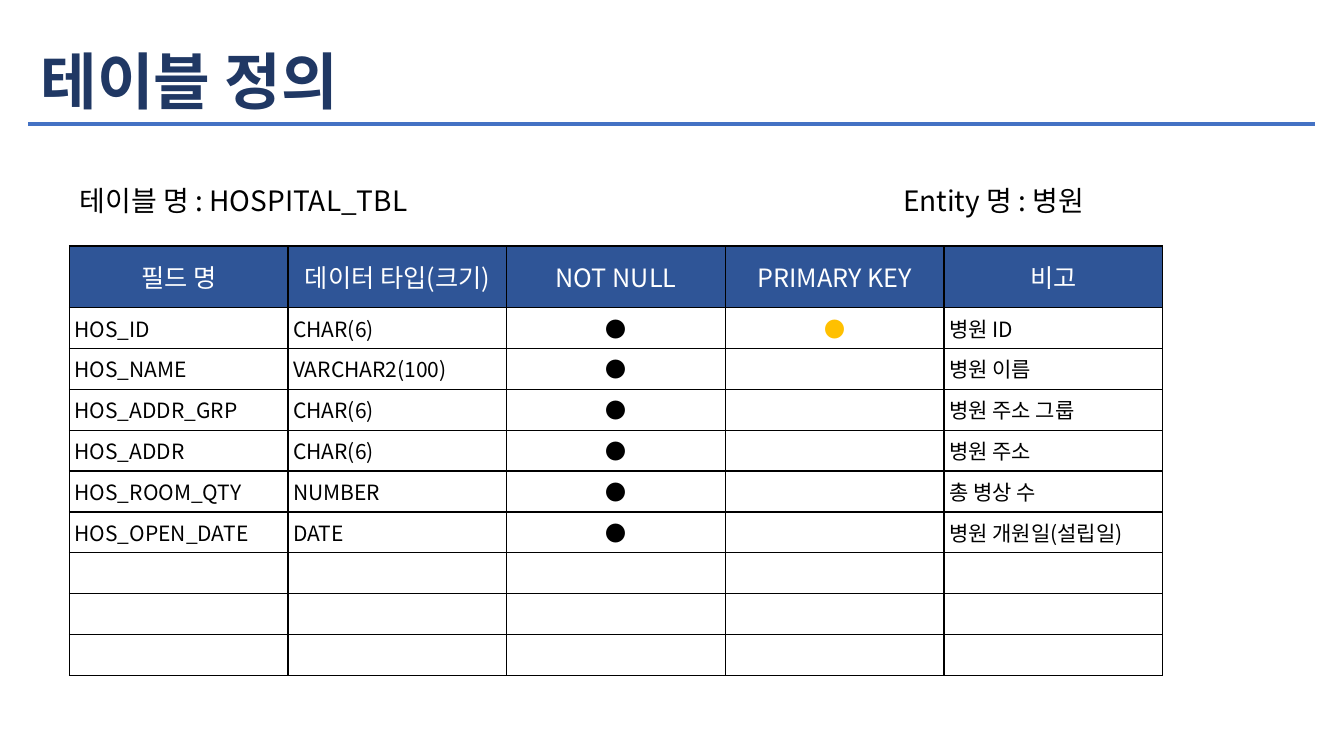
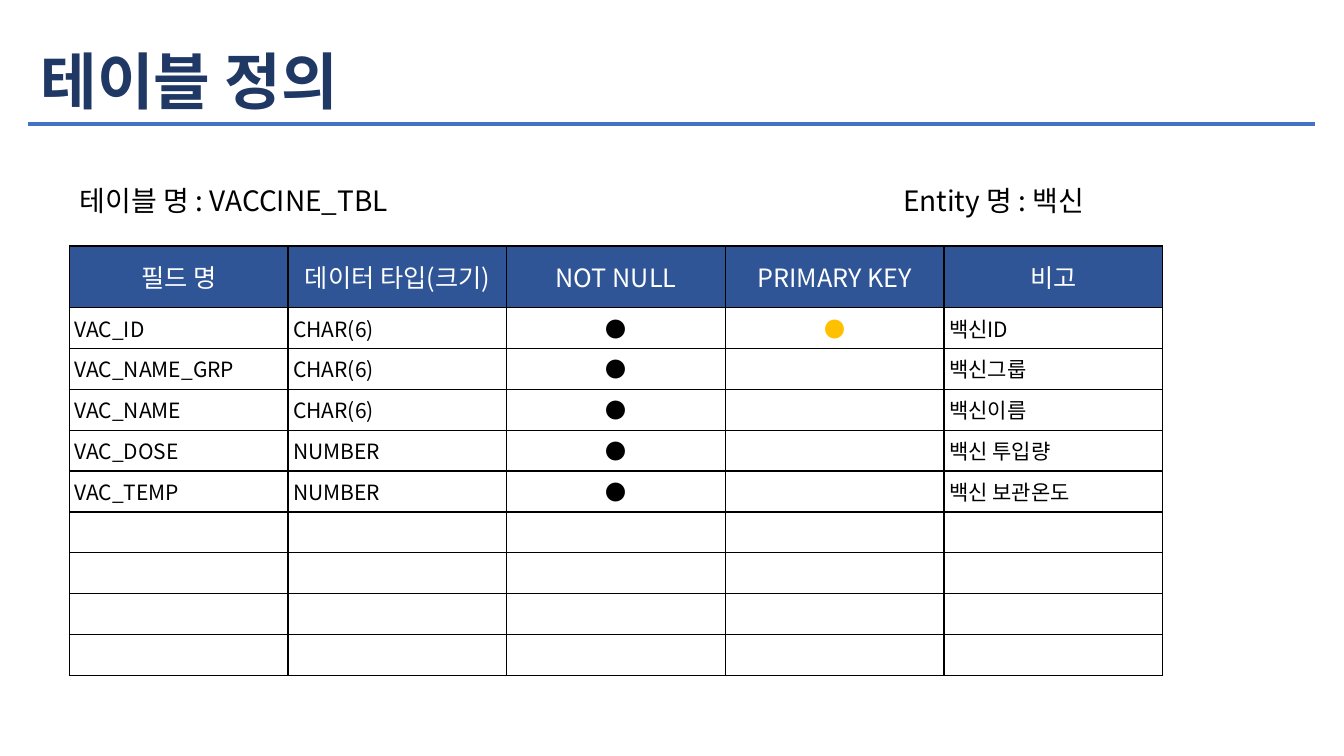
from lxml import etree
from pptx import Presentation
from pptx.dml.color import RGBColor
from pptx.enum.shapes import MSO_SHAPE
from pptx.enum.text import MSO_ANCHOR, PP_ALIGN
from pptx.oxml.ns import qn
from pptx.util import Cm, Pt

LEFT, CENTER = PP_ALIGN.LEFT, PP_ALIGN.CENTER
TOP, MIDDLE = MSO_ANCHOR.TOP, MSO_ANCHOR.MIDDLE
RECTANGLE = MSO_SHAPE.RECTANGLE

FONT = "Noto Sans CJK KR"
COLORS = {"title": "203864", "rule": "4472C4", "header": "2F5597",
          "text": "000000", "key": "FFC000", "white": "FFFFFF"}

TITLE = "테이블 정의"
HEADERS = ["필드 명", "데이터 타입(크기)", "NOT NULL", "PRIMARY KEY", "비고"]
DOT = "●"
# Every field is NOT NULL, and the first field of a table is its primary key.
TABLES = [
    {"name": "HOSPITAL_TBL", "entity": "병원", "fields": [
        ("HOS_ID", "CHAR(6)", "병원 ID"),
        ("HOS_NAME", "VARCHAR2(100)", "병원 이름"),
        ("HOS_ADDR_GRP", "CHAR(6)", "병원 주소 그룹"),
        ("HOS_ADDR", "CHAR(6)", "병원 주소"),
        ("HOS_ROOM_QTY", "NUMBER", "총 병상 수"),
        ("HOS_OPEN_DATE", "DATE", "병원 개원일(설립일)"),
    ]},
    {"name": "VACCINE_TBL", "entity": "백신", "fields": [
        ("VAC_ID", "CHAR(6)", "백신ID"),
        ("VAC_NAME_GRP", "CHAR(6)", "백신그룹"),
        ("VAC_NAME", "CHAR(6)", "백신이름"),
        ("VAC_DOSE", "NUMBER", "백신 투입량"),
        ("VAC_TEMP", "NUMBER", "백신 보관온도"),
    ]},
]

BODY_ROWS = 9
COLUMN_WIDTH, HEADER_HEIGHT, ROW_HEIGHT = Cm(5.51), Cm(1.55), Cm(1.03)
TABLE_LEFT, TABLE_TOP = Cm(1.75), Cm(6.2)
LABEL_TOP, LABEL_WIDTH, LABEL_HEIGHT = Cm(4.45), Cm(11.13), Cm(1.3)
INSET = Cm(0.13)


def color(name):
    """Return the palette colour with this name."""
    return RGBColor.from_string(COLORS[name])


def write(paragraph, text, size, ink="text", bold=False, align=LEFT):
    """Write formatted text; an empty paragraph keeps the size only."""
    paragraph.alignment = align
    if not text:
        etree.SubElement(paragraph._p, qn("a:endParaRPr"), sz=str(size * 100))
        return
    run = paragraph.add_run()
    run.text = text
    run.font.size, run.font.bold, run.font.name = Pt(size), bold, FONT
    run.font.color.rgb = color(ink)
    etree.SubElement(run.font._element, qn("a:ea"), typeface=FONT)


def set_insets(holder):
    """Give a cell or text frame the same narrow margin on each side."""
    holder.margin_left = holder.margin_right = INSET
    holder.margin_top = holder.margin_bottom = INSET


def add_label(slide, text, left, top, width, height, **style):
    """Add a one-line text box, centred vertically."""
    frame = slide.shapes.add_textbox(left, top, width, height).text_frame
    frame.word_wrap = True
    frame.vertical_anchor = MIDDLE
    set_insets(frame)
    frame.paragraphs[0].line_spacing = 0.9
    write(frame.paragraphs[0], text, **style)


def add_borders(cell):
    """Draw a thin line on all four sides of a cell."""
    properties = cell._tc.get_or_add_tcPr()
    for side in ("lnL", "lnR", "lnT", "lnB"):
        line = etree.SubElement(properties, qn("a:" + side), w=str(Pt(1)))
        fill = etree.SubElement(line, qn("a:solidFill"))
        etree.SubElement(fill, qn("a:srgbClr"), val=COLORS["text"])


def fill_cell(cell, text, header, **style):
    """Format one table cell and write its text."""
    set_insets(cell)
    add_borders(cell)
    cell.vertical_anchor = MIDDLE if header else TOP
    if header:
        cell.fill.solid()
        cell.fill.fore_color.rgb = color("header")
    else:
        cell.fill.background()
    write(cell.text_frame.paragraphs[0], text, **style)


def add_field_table(slide, fields):
    """Add the field table, filled up with empty rows."""
    rows = [HEADERS]
    rows += [(name, kind, DOT, "" if index else DOT, note)
             for index, (name, kind, note) in enumerate(fields)]
    rows += [[""] * len(HEADERS)] * (BODY_ROWS - len(fields))
    table = slide.shapes.add_table(
        len(rows), len(HEADERS), TABLE_LEFT, TABLE_TOP,
        COLUMN_WIDTH * len(HEADERS),
        HEADER_HEIGHT + ROW_HEIGHT * BODY_ROWS).table
    table.first_row = table.horz_banding = False
    for column in table.columns:
        column.width = COLUMN_WIDTH
    key_column = HEADERS.index("PRIMARY KEY")
    for r, row in enumerate(rows):
        header = r == 0
        table.rows[r].height = HEADER_HEIGHT if header else ROW_HEIGHT
        for c, text in enumerate(row):
            ink = "white" if header else "key" if c == key_column else "text"
            fill_cell(table.cell(r, c), text, header, ink=ink,
                      size=18 if header else 15,
                      align=CENTER if header or text == DOT else LEFT)


def add_title(slide):
    """Add the shared title and the rule below it."""
    add_label(slide, TITLE, Cm(0.89), Cm(0.81), Cm(28.68), Cm(2.64),
              size=44, ink="title", bold=True)
    rule = slide.shapes.add_shape(RECTANGLE, Cm(0.69), Cm(3.07), Cm(32.46), Cm(0.13))
    rule.shadow.inherit = False
    rule.fill.solid()
    rule.fill.fore_color.rgb = color("rule")
    rule.line.color.rgb = color("white")
    rule.line.width = Pt(1)


def add_definition_slide(presentation, name, entity, fields):
    """Add one slide that defines a database table."""
    slide = presentation.slides.add_slide(presentation.slide_layouts[6])
    add_field_table(slide, fields)
    for text, left in ((f"테이블 명 : {name}", Cm(1.88)),
                       (f"Entity 명 : {entity}", Cm(22.63))):
        add_label(slide, text, left, LABEL_TOP, LABEL_WIDTH, LABEL_HEIGHT, size=20)
    add_title(slide)


presentation = Presentation()
presentation.slide_width, presentation.slide_height = Cm(33.87), Cm(19.05)
for definition in TABLES:
    add_definition_slide(presentation, **definition)
presentation.save("out.pptx")
